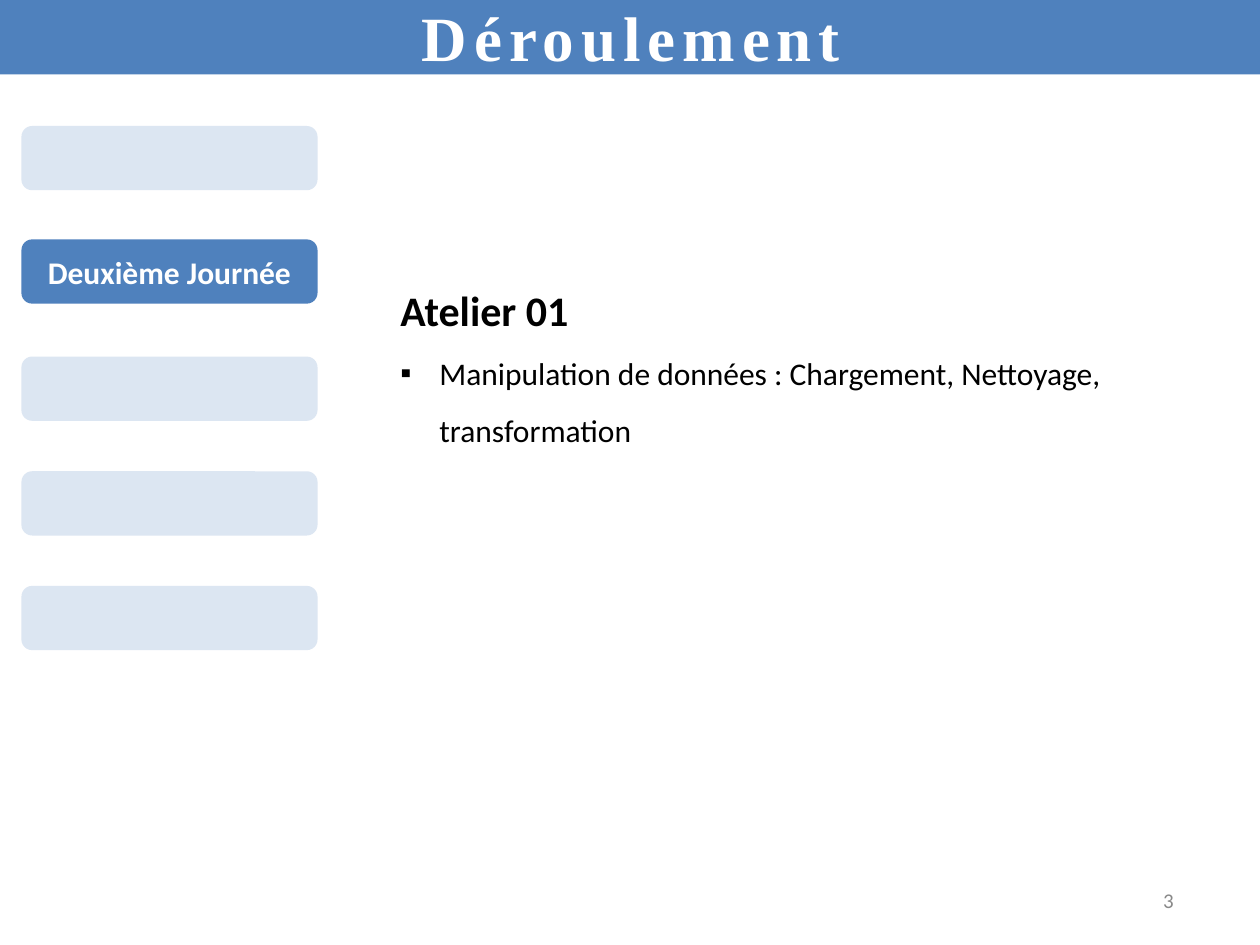
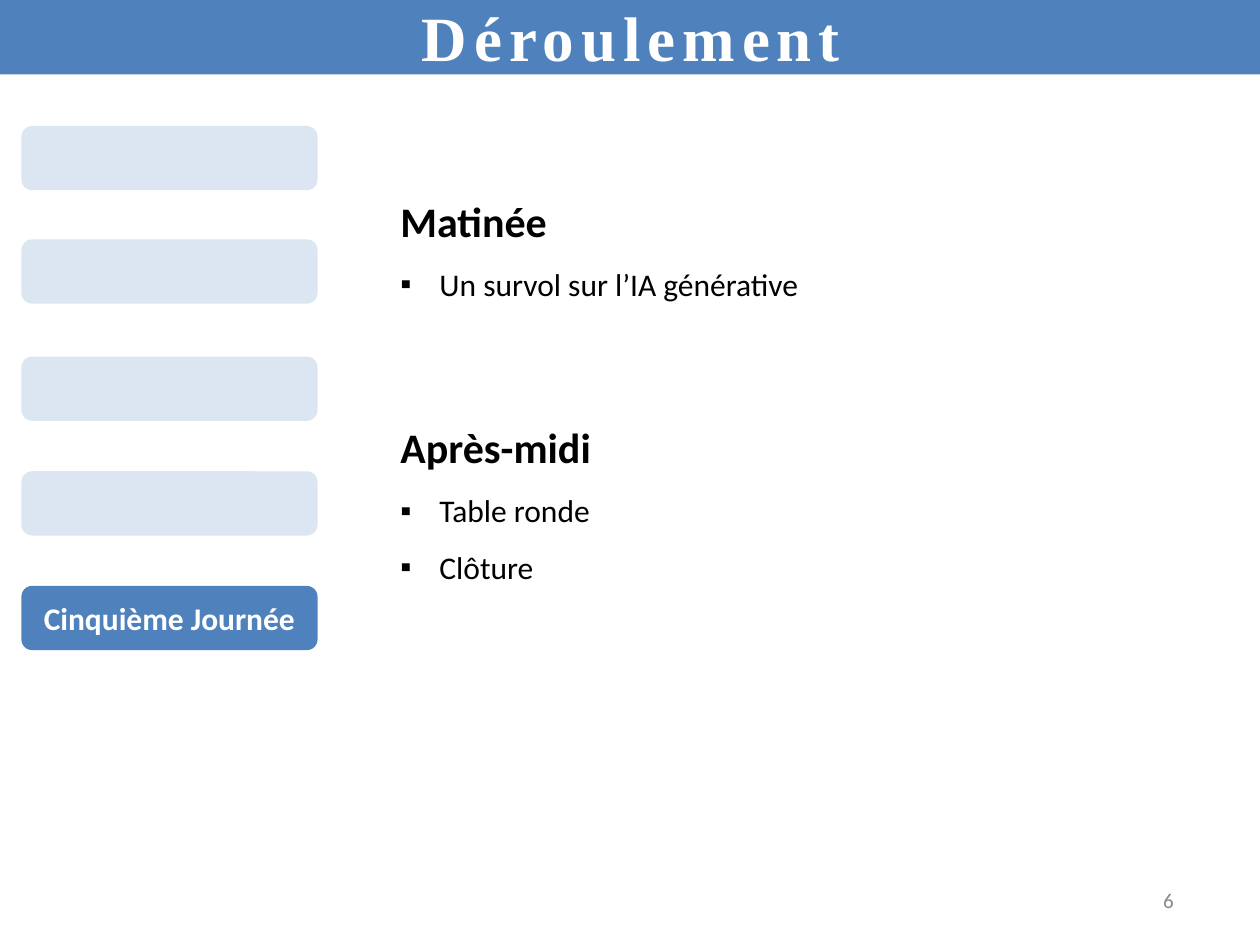
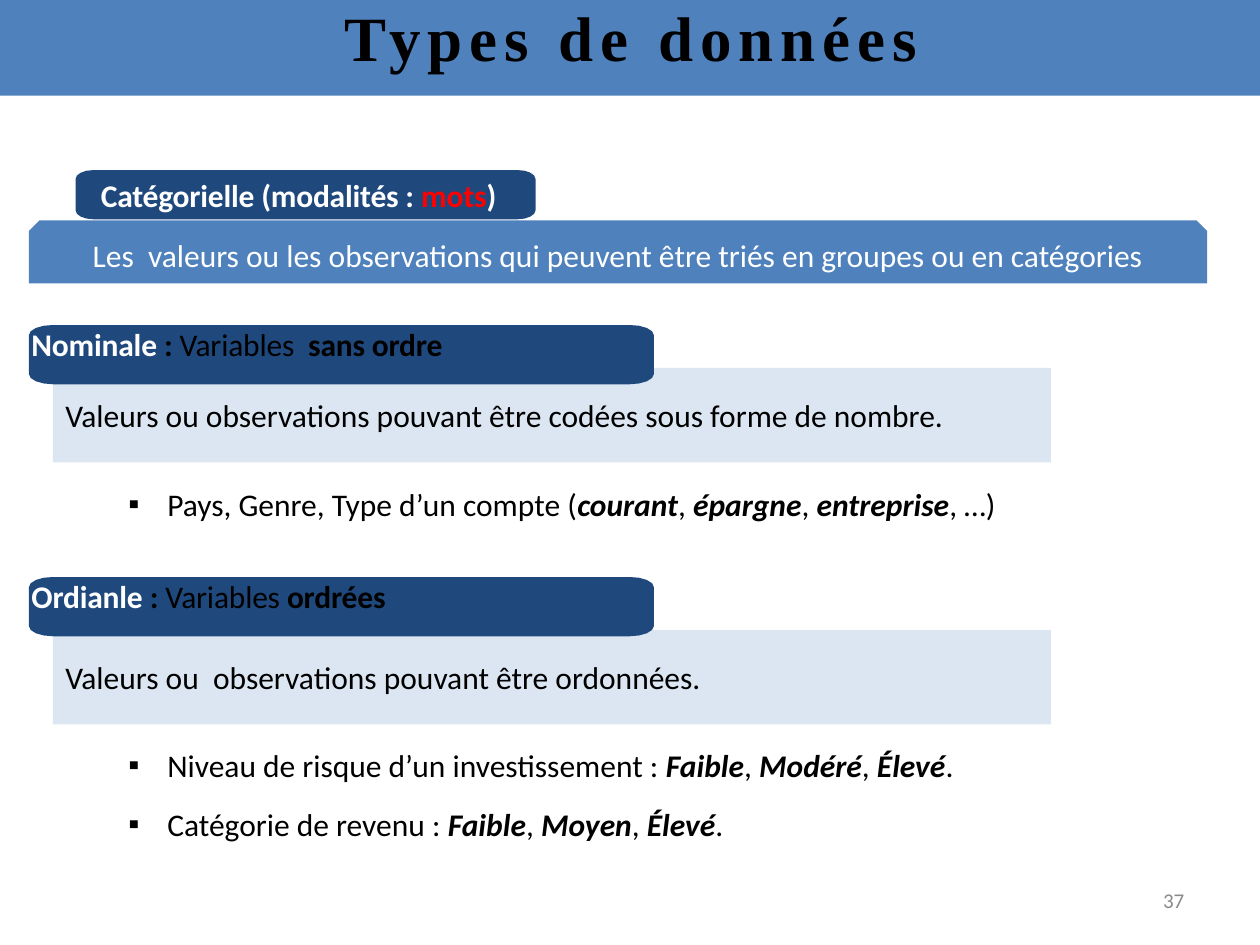
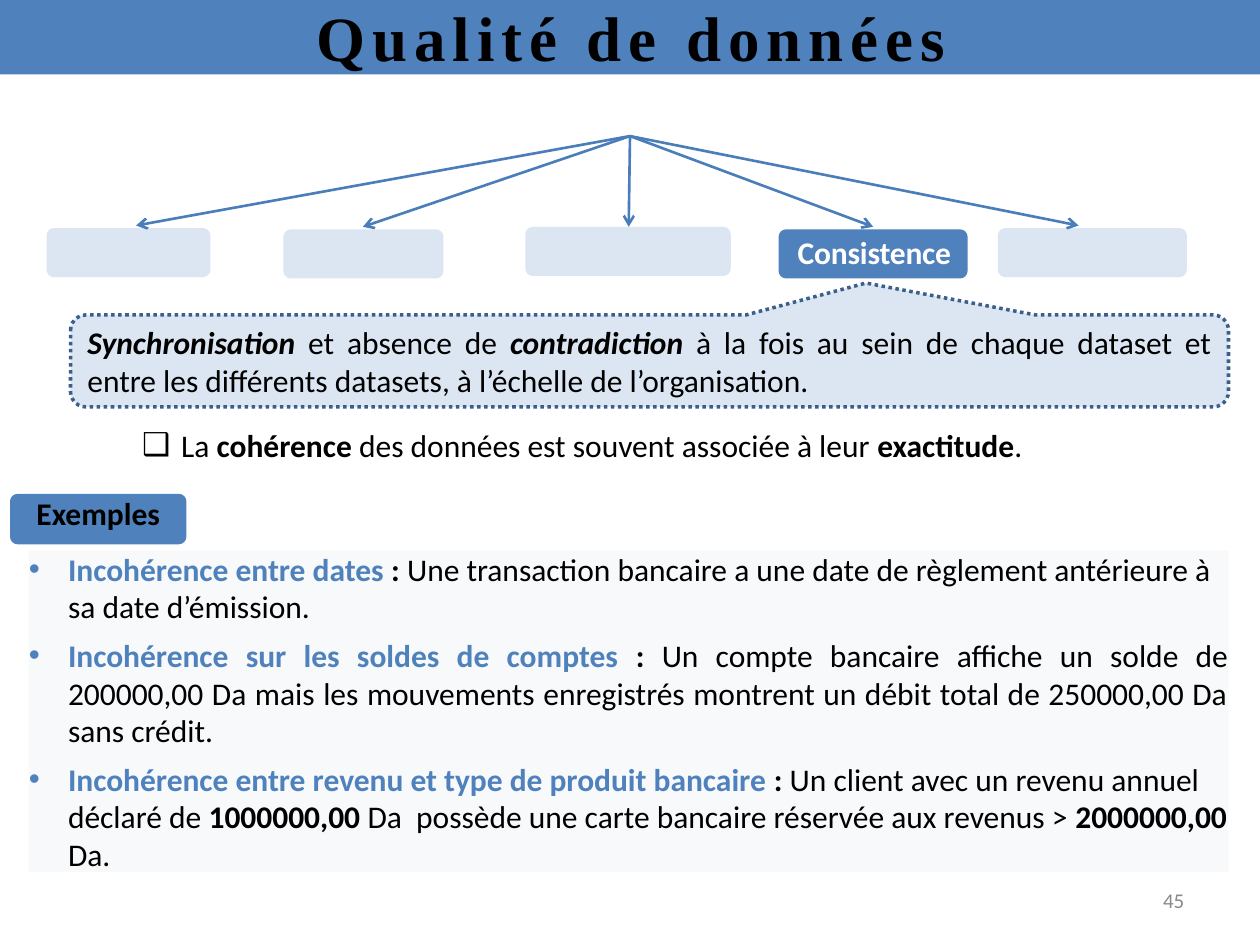
from math import cos, pi, sin

from lxml import etree
from pptx import Presentation
from pptx.dml.color import RGBColor
from pptx.enum.dml import MSO_LINE
from pptx.enum.shapes import MSO_CONNECTOR, MSO_SHAPE
from pptx.enum.text import MSO_ANCHOR, MSO_AUTO_SIZE, PP_ALIGN
from pptx.oxml.ns import qn
from pptx.util import Inches, Pt

RECT, ROUND = MSO_SHAPE.RECTANGLE, MSO_SHAPE.ROUNDED_RECTANGLE
SNIPPED = MSO_SHAPE.SNIP_2_SAME_RECTANGLE
CALLOUT = MSO_SHAPE.ROUNDED_RECTANGULAR_CALLOUT
STRAIGHT = MSO_CONNECTOR.STRAIGHT
DOTTED = MSO_LINE.ROUND_DOT
TOP, MIDDLE = MSO_ANCHOR.TOP, MSO_ANCHOR.MIDDLE
LEFT, CENTER, JUSTIFY = PP_ALIGN.LEFT, PP_ALIGN.CENTER, PP_ALIGN.JUSTIFY
FIT_SHAPE = MSO_AUTO_SIZE.SHAPE_TO_FIT_TEXT

BLUE, PALE, NAVY = "4F81BD", "DCE6F2", "1F497D"
WHITE, BLACK, RED, GREY = "FFFFFF", "000000", "FF0000", "898989"
ARROW_BLUE, DOT_BLUE, PANEL = "4A7EBB", "3A5F8C", "F8F9FA"
BODY, TITLE, BULLET = "Calibri", "Times New Roman", "Arial"
NO_INSETS = (0, 0, 0, 0)
DEFAULT_INSETS = (0.1, 0.05, 0.1, 0.05)

# A run is (text, flags, colour); flags are "b" and "i", colour is optional.
DAY_TOPS = [1, 1.9, 2.83, 3.74, 4.65]

# Each agenda: page, active day and its label, blocks of (top, height, heading, items)
AGENDAS = [
    (3, 1, "Deuxième Journée",
     [(2.01, 1.57, "Atelier 01",
       ["Manipulation de données : Chargement, Nettoyage, transformation"])]),
    (6, 4, "Cinquième Journée",
     [(1.3, 1.11, "Matinée", ["Un survol sur l’IA générative"]),
      (3.1, 1.57, "Après-midi", ["Table ronde", "Clôture"])]),
]

CATEGORICAL = [("Catégorielle (modalités : ", "b", WHITE), ("mots", "b", RED),
               (")", "b", WHITE)]
CATEGORICAL_MEANING = ("Les  valeurs ou les observations qui peuvent être triés "
                       "en groupes ou en catégories")

DATA_TYPES = [
    {"tab": [("Nominale", "b", WHITE), (" : ", "b"), ("Variables  ", ""),
             ("sans ordre", "b")],
     "tab_top": 2.58, "meaning_top": 2.92, "examples_top": 3.8,
     "meaning": "Valeurs ou observations pouvant être codées sous forme de nombre.",
     "examples": [
         [("Pays, Genre, Type d’un compte (", ""), ("courant", "bi"), (", ", ""),
          ("épargne", "bi"), (", ", ""), ("entreprise", "bi"), (", …)", "")]]},
    {"tab": [("Ordianle", "b", WHITE), (" : ", "b"), ("Variables ", ""),
             ("ordrées", "b")],
     "tab_top": 4.58, "meaning_top": 5, "examples_top": 5.87,
     "meaning": "Valeurs ou  observations pouvant être ordonnées.",
     "examples": [
         [("Niveau de risque d’un investissement : ", ""), ("Faible", "bi"),
          (", ", ""), ("Modéré", "bi"), (", ", ""), ("Élevé", "bi"), (".", "")],
         [("Catégorie de revenu : ", ""), ("Faible", "bi"), (", ", ""),
          ("Moyen", "bi"), (", ", ""), ("Élevé", "bi"), (".", "")]]},
]

# Each criterion: label (active one only), left, top, width, arrow end
ARROW_START = (5, 1.08)
CRITERIA = [
    (None, 0.37, 1.81, 1.3, (1.08, 1.79)),
    (None, 2.25, 1.82, 1.27, (2.88, 1.8)),
    (None, 4.17, 1.8, 1.63, (4.99, 1.8)),
    ("Consistence", 6.18, 1.82, 1.5, (6.93, 1.8)),
    (None, 7.92, 1.81, 1.5, (8.56, 1.79)),
]
CONSISTENCY = [
    ("Synchronisation", "bi"), (" et absence de ", ""), ("contradiction", "bi"),
    (" à la fois au sein de chaque dataset et entre les différents datasets, "
     "à l’échelle de l’organisation.", "")]
REMARK = [("La ", ""), ("cohérence", "b"),
          (" des données est souvent associée à leur ", ""),
          ("exactitude", "b"), (".", "")]
INCONSISTENCIES = [
    (LEFT, [("Incohérence entre dates", "b", BLUE), (" : ", "b"),
            ("Une transaction bancaire a une date de règlement antérieure à "
             "sa date d’émission.", "")]),
    (JUSTIFY, [("Incohérence sur les soldes de comptes", "b", BLUE), (" :", "b"),
               (" Un compte bancaire affiche un solde de 200000,00 Da mais les "
                "mouvements enregistrés montrent un débit total de 250000,00 Da "
                "sans crédit.", "")]),
    (LEFT, [("Incohérence entre revenu et type de produit bancaire", "b", BLUE),
            (" : ", "b"), ("Un client avec un revenu annuel déclaré de ", ""),
            ("1000000,00 ", "b"),
            ("Da  possède une carte bancaire réservée aux revenus > ", ""),
            ("2000000,00 ", "b"), ("Da.", "")]),
]


def rgb(value):
    return RGBColor.from_string(value)


def frame(sp, anchor=TOP, insets=DEFAULT_INSETS, fit=False):
    tf = sp.text_frame
    tf.word_wrap = True
    tf.vertical_anchor = anchor
    tf.margin_left, tf.margin_top, tf.margin_right, tf.margin_bottom = map(Inches, insets)
    if fit:
        tf.auto_size = FIT_SHAPE
    return tf


def write(tf, runs, size=18, color=BLACK, font=BODY, align=LEFT, bullet=None,
          before=0, after=0, line=None, spacing=None):
    """Add one paragraph, using the empty first one if it is still free."""
    first = not tf.paragraphs[0].runs
    p = tf.paragraphs[0] if first else tf.add_paragraph()
    if bullet:
        pPr = p._p.get_or_add_pPr()
        pPr.set("marL", str(Inches(0.31)))
        pPr.set("indent", str(-Inches(0.31)))
        etree.SubElement(pPr, qn("a:buFont")).set("typeface", BULLET)
        etree.SubElement(pPr, qn("a:buChar")).set("char", bullet)
    p.alignment = align
    p.space_before = Pt(0 if first else before)
    p.space_after = Pt(after)
    if line:
        p.line_spacing = line
    for text, flags, *own_color in runs:
        r = p.add_run()
        r.text = text
        r.font.name, r.font.size = font, Pt(size)
        r.font.bold, r.font.italic = "b" in flags, "i" in flags
        r.font.color.rgb = rgb(own_color[0] if own_color else color)
        if spacing:
            r._r.get_or_add_rPr().set("spc", str(spacing))


def paint(sp, fill):
    sp.shadow.inherit = False
    sp.fill.solid()
    sp.fill.fore_color.rgb = rgb(fill)
    sp.line.fill.background()
    return sp


def add_box(slide, kind, box, fill):
    return paint(slide.shapes.add_shape(kind, *map(Inches, box)), fill)


def add_text(slide, box, **options):
    return frame(slide.shapes.add_textbox(*map(Inches, box)), **options)


def add_soft_box(slide, box, fill, rx=0.06, ry=0.06):
    """Draw a rectangle whose corners are quarter ellipses of radii rx and ry."""
    left, top, width, height = box
    centers = [(left + width - rx, top + height - ry), (left + rx, top + height - ry),
               (left + rx, top + ry), (left + width - rx, top + ry)]
    points = []
    for quarter, (cx, cy) in enumerate(centers):
        for step in range(5):
            angle = (quarter + step / 4) * pi / 2
            points.append((Inches(cx + rx * cos(angle)), Inches(cy + ry * sin(angle))))
    builder = slide.shapes.build_freeform(*points[0])
    builder.add_line_segments(points[1:], close=True)
    return paint(builder.convert_to_shape(), fill)


def add_arrow(slide, start, end):
    line = slide.shapes.add_connector(STRAIGHT, *map(Inches, start + end))
    line.line.color.rgb = rgb(ARROW_BLUE)
    line.line.width = Pt(1.5)
    etree.SubElement(line.line._get_or_add_ln(), qn("a:tailEnd")).set("type", "arrow")
    etree.SubElement(line._element.spPr, qn("a:effectLst"))


def new_slide(prs, title, page, color=BLACK, band_height=0.62):
    slide = prs.slides.add_slide(prs.slide_layouts[6])
    band = add_box(slide, RECT, (0, -0.03, 10, band_height), BLUE)
    write(frame(band, insets=(0.02, 0.02, 0, 0)), [(title, "b")], 36, color, TITLE,
          CENTER, spacing=400)
    number = add_text(slide, (9.19, 7.07, 0.25, 0.19), insets=(0.04, 0, 0, 0), fit=True)
    write(number, [(str(page), "")], 12, GREY, line=Pt(12.4))
    return slide


def agenda_slide(prs, page, active, day, blocks):
    slide = new_slide(prs, "Déroulement", page, WHITE)
    for i, top in enumerate(DAY_TOPS):
        sp = add_box(slide, ROUND, (0.17, top, 2.35, 0.51), BLUE if i == active else PALE)
        if i == active:
            write(frame(sp, MIDDLE), [(day, "b")], color=WHITE, align=CENTER)
    for top, height, heading, items in blocks:
        tf = add_text(slide, (3.08, top, 6.5, height), fit=True)
        write(tf, [(heading, "b")], 24, line=1.5)
        for item in items:
            write(tf, [(item, "")], bullet="▪", line=1.5)


def data_types_slide(prs):
    slide = new_slide(prs, "Types de données", 37, band_height=0.79)
    tab = add_soft_box(slide, (0.6, 1.35, 3.65, 0.39), NAVY, 0.14, 0.07)
    write(frame(tab, MIDDLE, (0.2, 0.01, 0, 0)), CATEGORICAL, spacing=-10)
    sp = add_box(slide, SNIPPED, (0.23, 1.75, 9.35, 0.5), BLUE)
    write(frame(sp, MIDDLE), [(CATEGORICAL_MEANING, "")], color=WHITE, align=CENTER)

    for kind in DATA_TYPES:
        sp = add_box(slide, RECT, (0.42, kind["meaning_top"], 7.92, 0.75), PALE)
        write(frame(sp, MIDDLE), [(kind["meaning"], "")])
        tab = add_soft_box(slide, (0.23, kind["tab_top"], 4.96, 0.47), NAVY, 0.19, 0.08)
        write(frame(tab, insets=(0.02, 0, 0, 0)), kind["tab"], spacing=-10)
        height = 0.4 + 0.48 * (len(kind["examples"]) - 1)
        tf = add_text(slide, (0.92, kind["examples_top"], 7.83, height), fit=True)
        for runs in kind["examples"]:
            write(tf, runs, bullet="▪", before=6, after=6)


def data_quality_slide(prs):
    slide = new_slide(prs, "Qualité de données", 45)
    callout = add_box(slide, CALLOUT, (0.56, 2.5, 9.19, 0.73), PALE)
    for i, value in enumerate((0.187, -0.847, 0.167)):
        callout.adjustments[i] = value
    callout.line.color.rgb = rgb(DOT_BLUE)
    callout.line.width = Pt(2)
    callout.line.dash_style = DOTTED
    write(frame(callout, MIDDLE), CONSISTENCY, align=JUSTIFY)

    for label, left, top, width, arrow_end in CRITERIA:
        sp = add_soft_box(slide, (left, top, width, 0.39), BLUE if label else PALE)
        if label:
            write(frame(sp, MIDDLE, (0.02, 0, 0, 0.03)), [(label, "b")], color=WHITE,
                  align=CENTER, spacing=-10)
        add_arrow(slide, ARROW_START, arrow_end)

    write(add_text(slide, (1.03, 3.33, 7.64, 0.4), fit=True), REMARK, bullet="❑")
    panel = add_box(slide, RECT, (0.23, 4.37, 9.52, 2.55), PANEL)
    tf = frame(panel, MIDDLE, NO_INSETS)
    for align, runs in INCONSISTENCIES:
        write(tf, runs, align=align, bullet="•", before=6)
    sp = add_soft_box(slide, (0.08, 3.92, 1.4, 0.4), BLUE)
    write(frame(sp, insets=NO_INSETS), [("Exemples", "b")], align=CENTER)


def main():
    prs = Presentation()
    prs.slide_width, prs.slide_height = Inches(10), Inches(7.5)
    for agenda in AGENDAS:
        agenda_slide(prs, *agenda)
    data_types_slide(prs)
    data_quality_slide(prs)
    prs.save("out.pptx")


if __name__ == "__main__":
    main()
